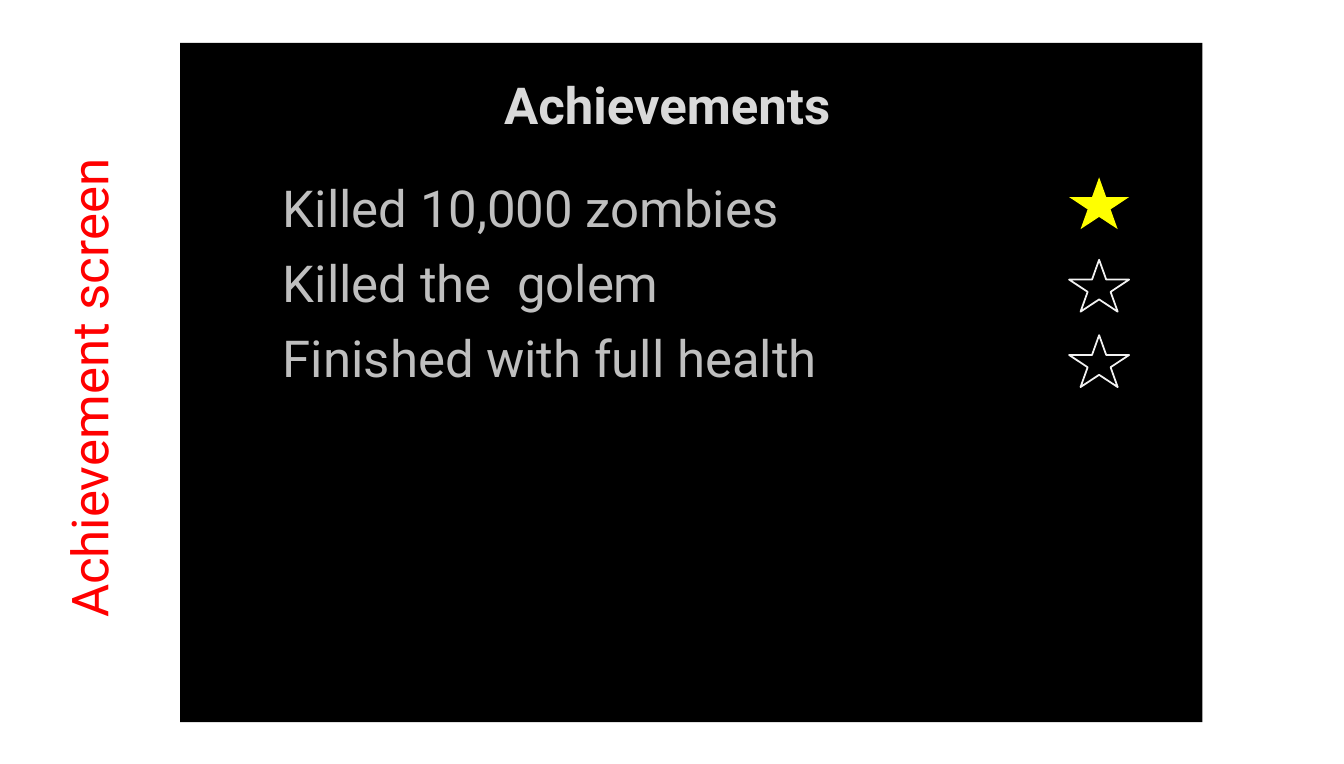
from pptx import Presentation
from pptx.dml.color import RGBColor
from pptx.enum.shapes import MSO_SHAPE as Shape
from pptx.enum.text import MSO_ANCHOR as Anchor, MSO_AUTO_SIZE as AutoSize, PP_ALIGN as Align
from pptx.util import Inches, Pt

COLORS = {
    "screen": "000000",
    "title": "D9D9D9",
    "achievement": "BFBFBF",
    "label": "FF0000",
    "earned": "FFFF00",
    "outline": "F2F2F2",
}
TEXT_HEIGHT = 0.71


def color(name):
    return RGBColor.from_string(COLORS[name])


def write(shape, text, color_name, bold=False):
    frame = shape.text_frame
    frame.text = text
    frame.word_wrap = True
    frame.auto_size = AutoSize.NONE
    frame.vertical_anchor = Anchor.TOP
    paragraph = frame.paragraphs[0]
    paragraph.alignment = Align.LEFT
    paragraph.line_spacing = 1.0
    font = paragraph.runs[0].font
    font.name = "Roboto"
    font.size = Pt(36)
    font.bold = bold
    font.color.rgb = color(color_name)


presentation = Presentation()
presentation.slide_width = Inches(13.2)
presentation.slide_height = Inches(7.5)
slide = presentation.slides.add_slide(presentation.slide_layouts[5])
shapes = slide.shapes

screen = shapes.add_shape(
    Shape.RECTANGLE, Inches(1.77), Inches(0.42), Inches(10.04), Inches(6.67))
screen.shadow.inherit = False
screen.fill.solid()
screen.fill.fore_color.rgb = color("screen")
screen.line.fill.background()

achievements = [
    ("Killed 10,000 zombies", 1.68, 1.74, True),
    ("Killed the  golem", 2.42, 2.55, False),
    ("Finished with full health", 3.16, 3.29, False),
]
for text, text_top, star_top, earned in achievements:
    achievement = shapes.add_textbox(
        Inches(2.68), Inches(text_top), Inches(7.05), Inches(TEXT_HEIGHT))
    write(achievement, text, "achievement")

    star = shapes.add_shape(
        Shape.STAR_5_POINT, Inches(10.5), Inches(star_top), Inches(0.59), Inches(0.51))
    star.shadow.inherit = False
    if earned:
        star.fill.solid()
        star.fill.fore_color.rgb = color("earned")
        star.line.fill.background()
    else:
        star.fill.background()
        star.line.color.rgb = color("outline")
        star.line.width = Pt(1.25)

label = shapes.add_textbox(Inches(-1.59), Inches(3.35), Inches(4.92), Inches(TEXT_HEIGHT))
label.rotation = 270
write(label, "Achievement screen", "label")

title = shapes.title
title.left, title.top = Inches(4.85), Inches(0.67)
title.width, title.height = Inches(4.08), Inches(TEXT_HEIGHT)
write(title, "Achievements", "title", bold=True)
shapes.element.append(title.element)

presentation.save("out.pptx")
